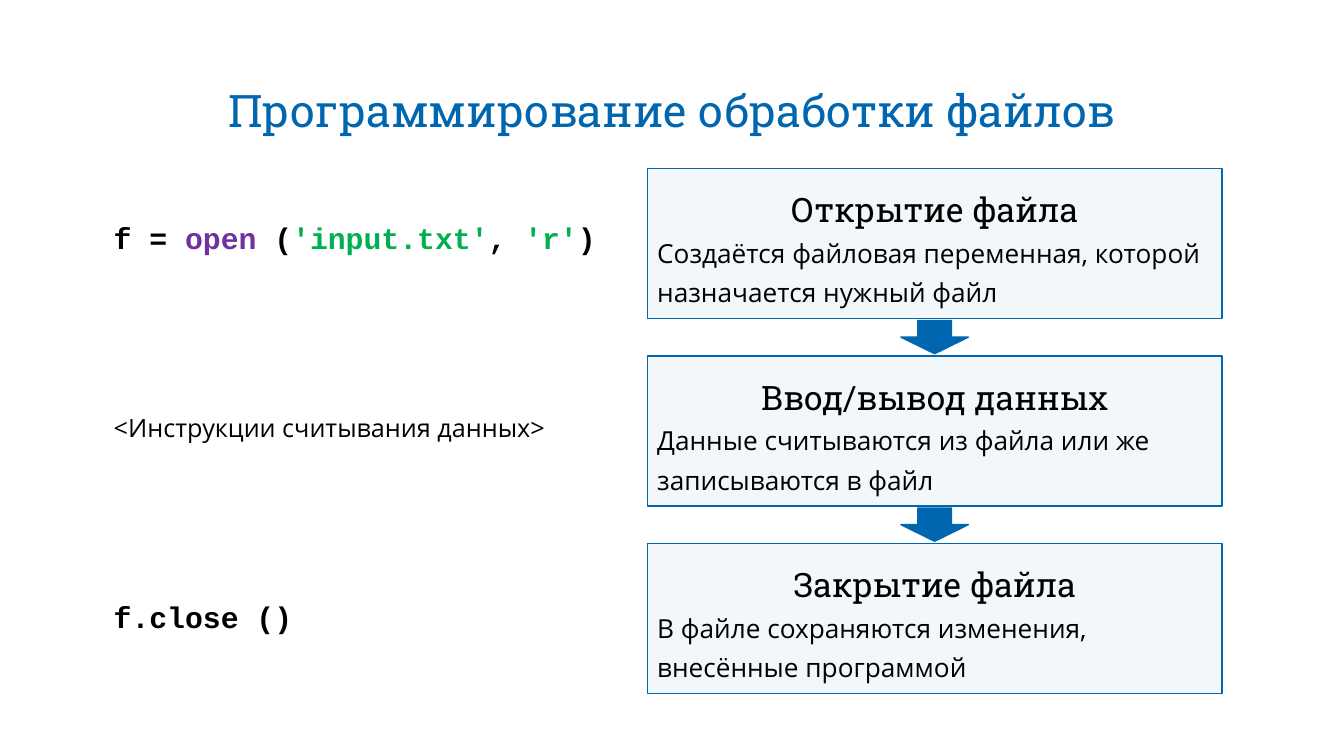
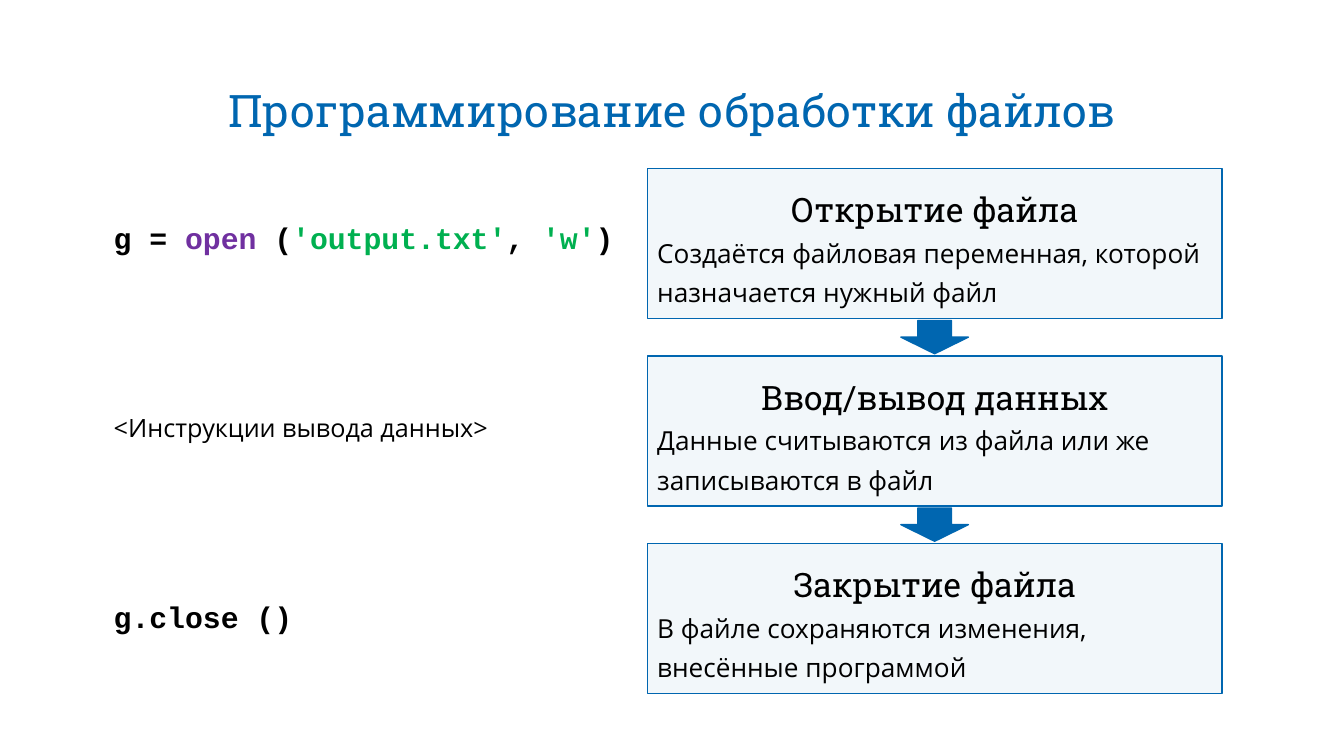
import lxml.etree
import pptx
import pptx.dml.color
import pptx.enum.shapes
import pptx.enum.text
import pptx.oxml.ns
import pptx.util

BLUE = pptx.dml.color.RGBColor(0x00, 0x66, 0xB0)
BLACK = pptx.dml.color.RGBColor(0x00, 0x00, 0x00)
PURPLE = pptx.dml.color.RGBColor(0x70, 0x30, 0xA0)
GREEN = pptx.dml.color.RGBColor(0x00, 0xB0, 0x50)

PX = 9144
RECTANGLE = pptx.enum.shapes.MSO_SHAPE.RECTANGLE
DOWN_ARROW = pptx.enum.shapes.MSO_SHAPE.DOWN_ARROW
LEFT = pptx.enum.text.PP_ALIGN.LEFT
CENTER = pptx.enum.text.PP_ALIGN.CENTER
MIDDLE = pptx.enum.text.MSO_ANCHOR.MIDDLE

TITLE_FORMAT = {"name": "Roboto Slab", "size": pptx.util.Pt(32), "color": BLUE}
HEADING_FORMAT = {"name": "Roboto Slab", "size": pptx.util.Pt(24), "color": BLACK}
DETAIL_FORMAT = {"name": "Open Sans", "size": pptx.util.Pt(18.7), "color": BLACK}
NOTE_FORMAT = {"name": "Open Sans", "size": pptx.util.Pt(18), "color": BLACK}
CODE_FORMAT = {"name": "Courier New", "size": pptx.util.Pt(21.3), "bold": True, "color": BLACK}
KEYWORD_FORMAT = CODE_FORMAT | {"color": PURPLE}
STRING_FORMAT = CODE_FORMAT | {"color": GREEN}

TITLE = "Программирование обработки файлов"
TITLE_BOX = (207, 77, 920, 64)
STAGES_BOX = (642, 167, 570, 521)
STAGE_GAP = 37
ARROW_SIZE = (67, 33)
CODE_BOX = (103, 213, 516, 422)
CODE_LINE_HEIGHT = 46

STAGES = [
    ("Открытие файла", "Создаётся файловая переменная, которой", "назначается нужный файл"),
    ("Ввод/вывод данных", "Данные считываются из файла или же", "записываются в файл"),
    ("Закрытие файла", "В файле сохраняются изменения,", "внесённые программой"),
]
EXAMPLES = [
    ("f", "input.txt", "r", "<Инструкции считывания данных>"),
    ("g", "output.txt", "w", "<Инструкции вывода данных>"),
]


def to_emu(box):
    """Turn px lengths into EMU."""
    return [round(length * PX) for length in box]


def add_styled_run(paragraph, text, font_format):
    """Append a run and set its font from a dict."""
    run = paragraph.add_run()
    run.text = text
    for key, value in font_format.items():
        if key == "color":
            run.font.color.rgb = value
        else:
            setattr(run.font, key, value)


def add_title(slide, box):
    """Place the slide title in the given box."""
    title = slide.shapes.title
    title.left, title.top, title.width, title.height = to_emu(box)
    paragraph = title.text_frame.paragraphs[0]
    paragraph.alignment = CENTER
    add_styled_run(paragraph, TITLE, TITLE_FORMAT)


def add_blue_shape(slide, kind, box, opacity=100):
    """Add a blue outlined shape whose fill has the given opacity in percent."""
    shape = slide.shapes.add_shape(kind, *to_emu(box))
    shape.shadow.inherit = False
    shape.fill.solid()
    shape.fill.fore_color.rgb = BLUE
    shape.line.color.rgb = BLUE
    shape.line.width = pptx.util.Pt(1)
    if opacity < 100:
        fill_color = shape.element.spPr.xpath("a:solidFill/a:srgbClr")[0]
        alpha = lxml.etree.SubElement(fill_color, pptx.oxml.ns.qn("a:alpha"))
        alpha.set("val", str(opacity * 1000))
    return shape


def add_stage(slide, box, lines):
    """Add one stage card with a centred heading and its details."""
    frame = add_blue_shape(slide, RECTANGLE, box, opacity=5).text_frame
    frame.word_wrap = True
    frame.vertical_anchor = MIDDLE
    for index, line in enumerate(lines):
        paragraph = frame.add_paragraph() if index else frame.paragraphs[0]
        paragraph.alignment = LEFT if index else CENTER
        paragraph.line_spacing = 1.25
        add_styled_run(paragraph, line, DETAIL_FORMAT if index else HEADING_FORMAT)


def add_stages(slide, box):
    """Stack the stage cards in the box, with an arrow in each gap."""
    left, top, width, height = box
    stage_height = (height - STAGE_GAP * (len(STAGES) - 1)) // len(STAGES)
    arrow_width, arrow_height = ARROW_SIZE
    for index, lines in enumerate(STAGES):
        stage_top = top + index * (stage_height + STAGE_GAP)
        add_stage(slide, (left, stage_top, width, stage_height), lines)
        if index:
            arrow_left = left + (width - arrow_width) / 2
            arrow_top = stage_top - (STAGE_GAP + arrow_height) / 2
            add_blue_shape(slide, DOWN_ARROW, (arrow_left, arrow_top, *ARROW_SIZE))


def add_code(slide, box, variable, filename, mode, note):
    """Spread the three code lines evenly down the box."""
    code_lines = [
        [
            (f"{variable} = ", CODE_FORMAT),
            ("open", KEYWORD_FORMAT),
            (" (", CODE_FORMAT),
            (f"'{filename}'", STRING_FORMAT),
            (", ", CODE_FORMAT),
            (f"'{mode}'", STRING_FORMAT),
            (")", CODE_FORMAT),
        ],
        [(note, NOTE_FORMAT)],
        [(f"{variable}.close ()", CODE_FORMAT)],
    ]
    left, top, width, height = box
    step = (height - CODE_LINE_HEIGHT) / (len(code_lines) - 1)
    for index, tokens in enumerate(code_lines):
        line_box = (left, top + index * step, width, CODE_LINE_HEIGHT)
        frame = slide.shapes.add_textbox(*to_emu(line_box)).text_frame
        frame.word_wrap = True
        frame.vertical_anchor = MIDDLE
        for text, font_format in tokens:
            add_styled_run(frame.paragraphs[0], text, font_format)


def add_example_slide(deck, example):
    """Add a slide that pairs code with the stages of file handling."""
    slide = deck.slides.add_slide(deck.slide_layouts.get_by_name("Title Only"))
    add_title(slide, TITLE_BOX)
    add_code(slide, CODE_BOX, *example)
    add_stages(slide, STAGES_BOX)


def main():
    """Build the deck and save it."""
    deck = pptx.Presentation()
    deck.slide_width, deck.slide_height = to_emu((1333, 750))
    for example in EXAMPLES:
        add_example_slide(deck, example)
    deck.save("out.pptx")


if __name__ == "__main__":
    main()
